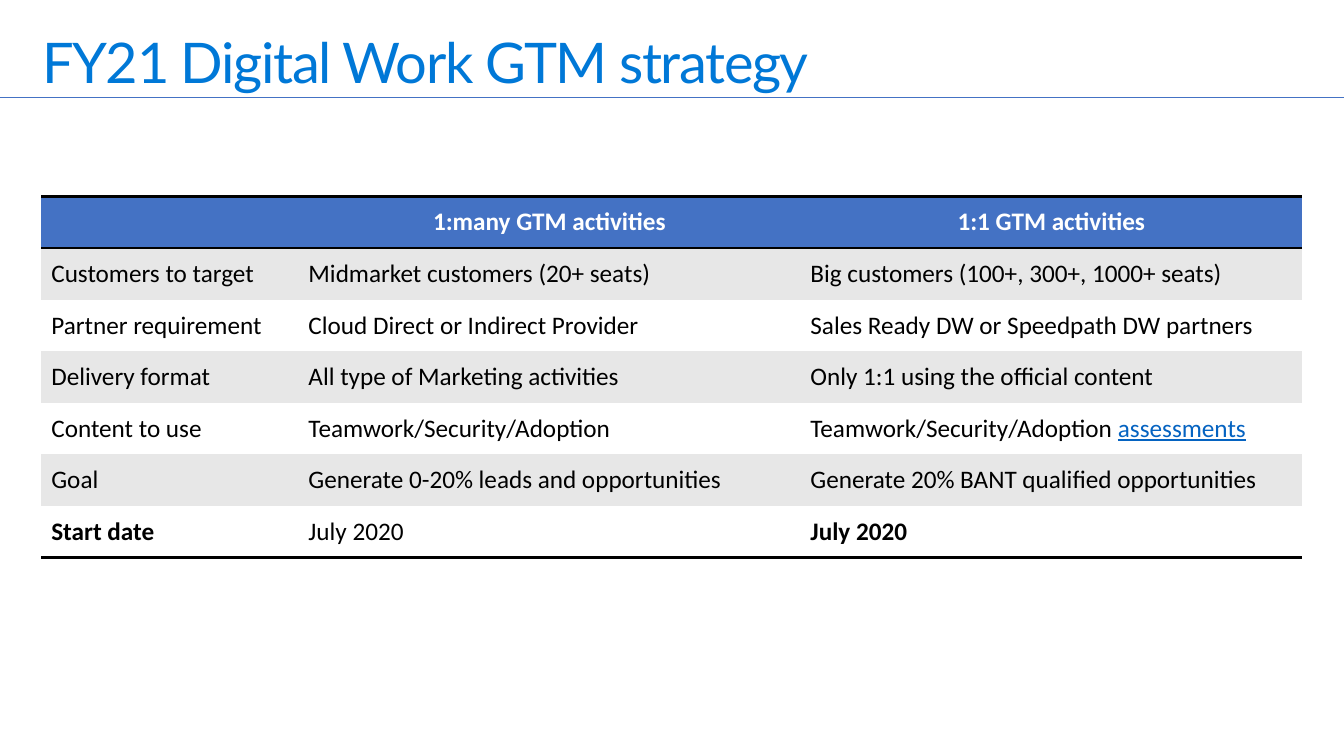
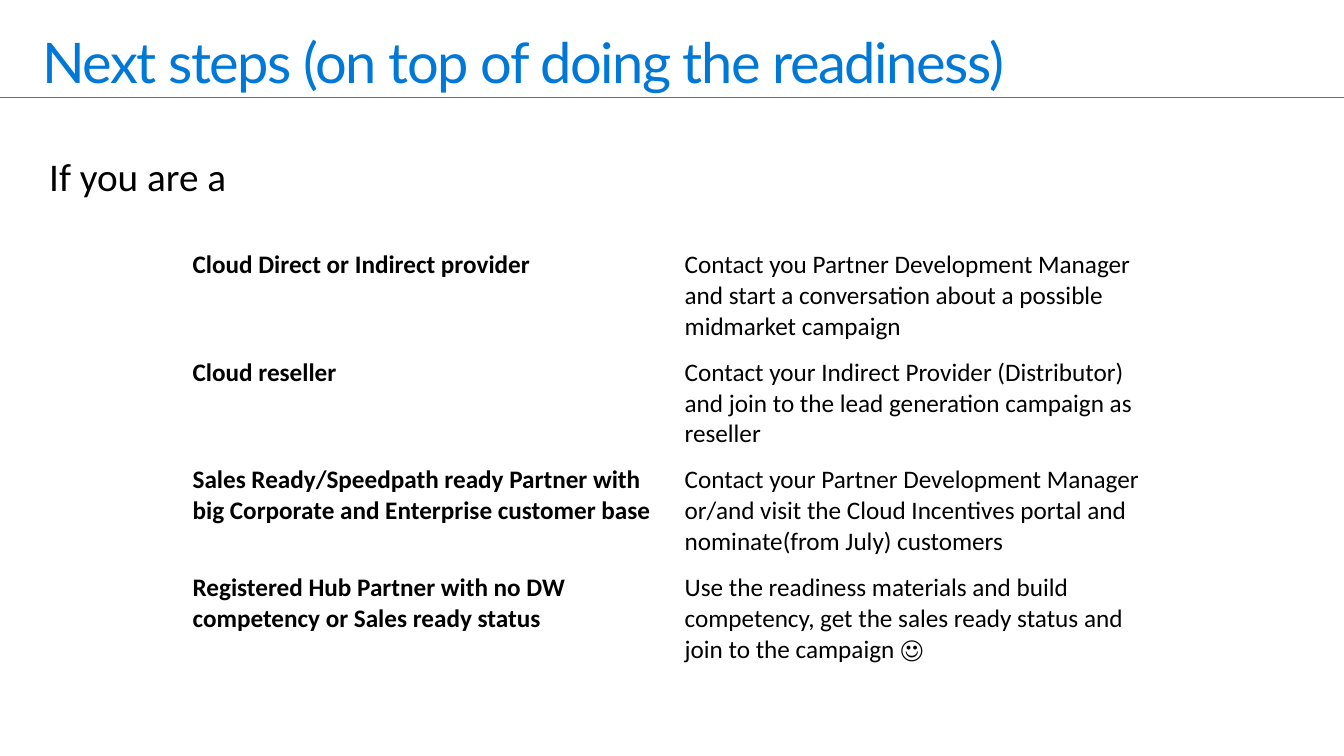
from lxml import etree
from pptx import Presentation
from pptx.dml.color import RGBColor
from pptx.enum.shapes import MSO_CONNECTOR
from pptx.enum.text import MSO_ANCHOR, MSO_AUTO_SIZE, PP_ALIGN
from pptx.oxml import parse_xml
from pptx.oxml.ns import nsdecls, qn
from pptx.util import Cm, Pt

TITLE_BLUE = RGBColor(0x00, 0x78, 0xD7)
ACCENT_BLUE = RGBColor(0x44, 0x72, 0xC4)
LINK_BLUE = RGBColor(0x05, 0x63, 0xC1)
BAND_GREY = RGBColor(0xE7, 0xE7, 0xE7)
BLACK = RGBColor(0x00, 0x00, 0x00)
WHITE = RGBColor(0xFF, 0xFF, 0xFF)
TITLE_FONT, BODY_FONT = "Lato", "Calibri"
PLAIN_TABLE_STYLE = "{2D5ABB26-0587-4C30-8999-92F81FD0307C}"

TITLES = ["FY21 Digital Work GTM strategy", "Next steps (on top of doing the readiness)"]

STRATEGY = [
    ["", "1:many GTM activities", "1:1 GTM activities"],
    ["Customers to target", "Midmarket customers (20+ seats)", "Big customers (100+, 300+, 1000+ seats)"],
    ["Partner requirement", "Cloud Direct or Indirect Provider", "Sales Ready DW or Speedpath DW partners"],
    ["Delivery format", "All type of Marketing activities", "Only 1:1 using the official content"],
    ["Content to use", "Teamwork/Security/Adoption", "Teamwork/Security/Adoption "],
    ["Goal", "Generate 0-20% leads and opportunities", "Generate 20% BANT qualified opportunities"],
    ["Start date", "July 2020", "July 2020"],
]
CONTENT_ROW, START_ROW = 4, 6

NEXT_STEPS = [
    ["Cloud Direct or Indirect provider",
     "Contact you Partner Development Manager and start a conversation about a possible midmarket campaign"],
    ["Cloud reseller",
     "Contact your Indirect Provider (Distributor) and join to the lead generation campaign as reseller"],
    ["Sales Ready/Speedpath ready Partner with big Corporate and Enterprise customer base",
     "Contact your Partner Development Manager or/and visit the Cloud Incentives portal and "
     "nominate(from July) customers"],
    ["Registered Hub Partner with no DW competency or Sales ready status",
     "Use the readiness materials and build competency, get the sales ready status and "
     "join to the campaign ☺"],
]


def add_run(paragraph, text, size=18, color=BLACK, bold=False, font=BODY_FONT):
    run = paragraph.add_run()
    run.text = text
    run.font.name = font
    run.font.size = Pt(size)
    run.font.color.rgb = color
    run.font.bold = bold
    return run


def add_plain_table(slide, left, top, widths, row_height, row_count):
    """Add a table that has no style of its own: no bands, borders or fills."""
    table = slide.shapes.add_table(
        row_count, len(widths), Cm(left), Cm(top), Cm(sum(widths)), Cm(row_height * row_count)).table
    table.first_row = table.horz_banding = False
    table._tbl.tblPr.find(qn("a:tableStyleId")).text = PLAIN_TABLE_STYLE
    for column, width in zip(table.columns, widths):
        column.width = Cm(width)
    for row in table.rows:
        row.height = Cm(row_height)
    return table


prs = Presentation()
prs.slide_width, prs.slide_height = Cm(33.87), Cm(19.05)

# Title and rule on every slide
slides = []
for heading in TITLES:
    slide = prs.slides.add_slide(prs.slide_layouts[5])
    title = slide.shapes.title
    title.left, title.top, title.width, title.height = Cm(0.81), Cm(0.41), Cm(32.39), Cm(2.49)
    frame = title.text_frame
    frame.auto_size = MSO_AUTO_SIZE.NONE
    frame.word_wrap = True
    frame.vertical_anchor = MSO_ANCHOR.MIDDLE
    paragraph = frame.paragraphs[0]
    paragraph.alignment = PP_ALIGN.LEFT
    paragraph.line_spacing = 0.9
    run = add_run(paragraph, heading, 40, TITLE_BLUE, font=TITLE_FONT)
    run._r.get_or_add_rPr().set("spc", "-100")

    rule = slide.shapes.add_connector(MSO_CONNECTOR.STRAIGHT, 0, Cm(2.46), prs.slide_width, Cm(2.46))
    rule.line.color.rgb = ACCENT_BLUE
    rule.line.width = Pt(1)
    etree.SubElement(rule._element.spPr, qn("a:effectLst"))
    slides.append(slide)

strategy_slide, steps_slide = slides

# Strategy table
strategy = add_plain_table(strategy_slide, 1.04, 4.95, [6.48, 12.65, 12.65], 1.3, len(STRATEGY))
for r, row in enumerate(STRATEGY):
    is_header = r == 0
    for c, text in enumerate(row):
        cell = strategy.cell(r, c)
        cell.vertical_anchor = MSO_ANCHOR.MIDDLE
        cell.fill.solid()
        cell.fill.fore_color.rgb = ACCENT_BLUE if is_header else BAND_GREY if r % 2 else WHITE
        paragraph = cell.text_frame.paragraphs[0]
        paragraph.alignment = PP_ALIGN.CENTER if is_header else PP_ALIGN.LEFT
        if text:
            is_bold = is_header or (r == START_ROW and c != 1)
            add_run(paragraph, text, color=WHITE if is_header else BLACK, bold=is_bold)
        if (r, c) == (CONTENT_ROW, 2):
            add_run(paragraph, "assessments", color=LINK_BLUE).font.underline = True

        edges = ["lnT", "lnB"] if is_header else ["lnB"] if r == START_ROW else []
        for position, edge in enumerate(edges):
            border = parse_xml(
                f'<a:{edge} {nsdecls("a")} w="{Pt(2)}"><a:solidFill>'
                f'<a:srgbClr val="{BLACK}"/></a:solidFill></a:{edge}>')
            cell._tc.get_or_add_tcPr().insert(position, border)

# Next steps by partner type
intro = steps_slide.shapes.add_textbox(Cm(0.99), Cm(3.84), Cm(31.14), Cm(1.7)).text_frame
intro.word_wrap = True
intro.paragraphs[0].line_spacing = 0.9
add_run(intro.paragraphs[0], "If you are a", 28)

steps = add_plain_table(steps_slide, 4.6, 6.17, [12.4, 12.4], 2.71, len(NEXT_STEPS))
for r, row in enumerate(NEXT_STEPS):
    for c, text in enumerate(row):
        cell = steps.cell(r, c)
        cell.fill.background()
        add_run(cell.text_frame.paragraphs[0], text, bold=c == 0)

prs.save("out.pptx")
